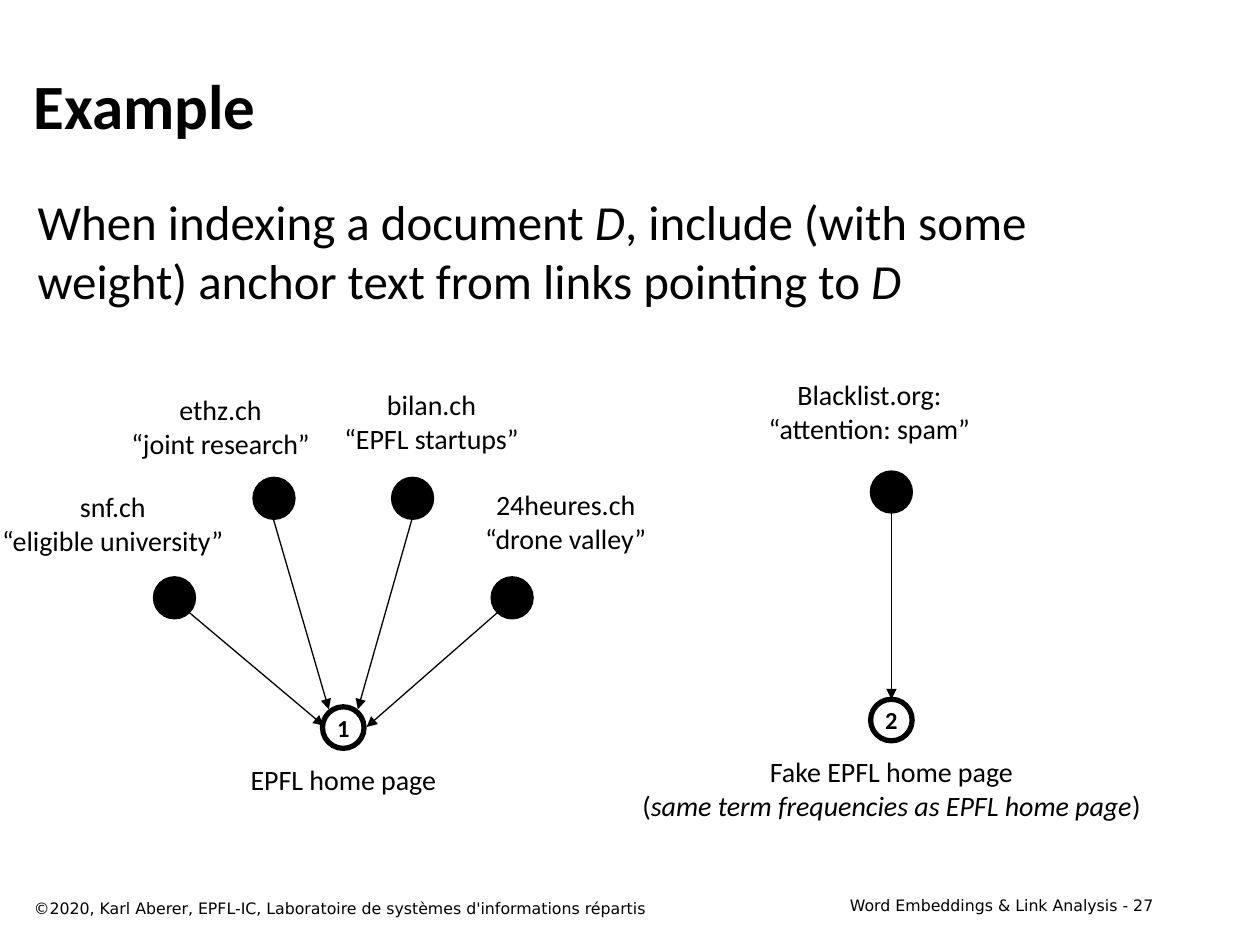
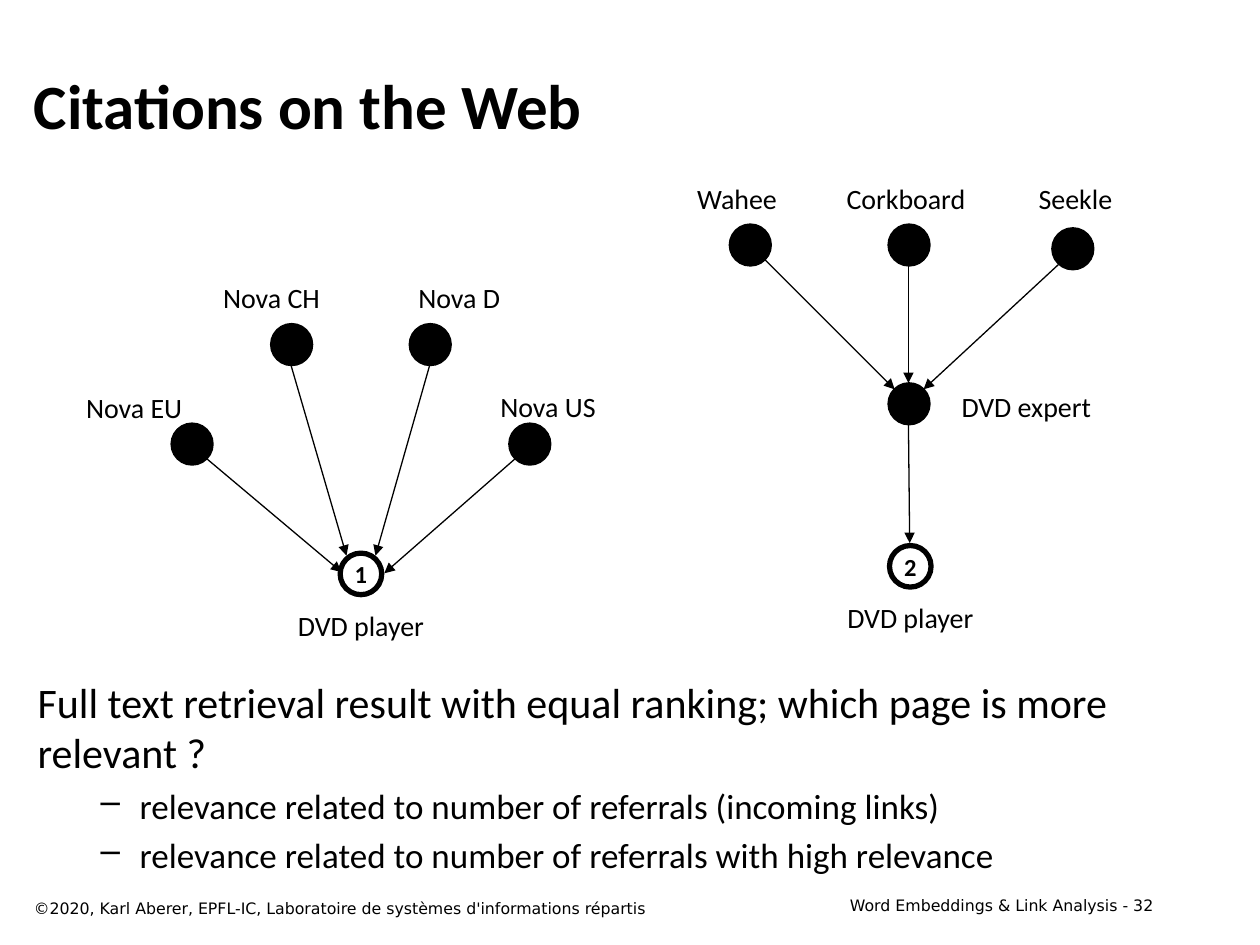
from dataclasses import dataclass

from lxml import etree
from pptx import Presentation
from pptx.dml.color import RGBColor
from pptx.enum import shapes, text
from pptx.oxml import ns
from pptx.util import Inches, Pt


@dataclass(frozen=True)
class Theme:
    ink: RGBColor = RGBColor(0, 0, 0)
    font: str = "Calibri"
    footer_font: str = "DejaVu Sans"
    title: int = 36
    lead: int = 28
    question: int = 24
    bullet: int = 20
    label: int = 16
    number: int = 14
    footer: int = 9
    arrow: float = 0.75
    dot_line: float = 1
    ring_line: float = 3


THEME = Theme()
LEFT, CENTER, RIGHT = text.PP_ALIGN.LEFT, text.PP_ALIGN.CENTER, text.PP_ALIGN.RIGHT
NODE = 0.33
CAPTION_DROP = 0.39
LINE_HEIGHT = 0.27

# Offsets inside a fan of four links: dot, arrow start, arrow end
FAN = [
    ((0, 0.79), (0.28, 1.07), (1.35, 1.97)),
    ((0.79, 0), (0.95, 0.33), (1.39, 1.84)),
    ((1.89, 0), (2.05, 0.33), (1.62, 1.84)),
    ((2.68, 0.79), (2.73, 1.07), (1.69, 1.98)),
]
FAN_TARGET = (1.34, 1.82)


def add_spans(para, spans, size, bold=False, font=THEME.font):
    """Add one run per span; every second span is italic."""
    for index, words in enumerate(spans):
        span = para.add_run()
        span.text = words
        span.font.name = font
        span.font.size = Pt(size)
        span.font.bold = bold
        span.font.italic = index % 2 == 1
        span.font.color.rgb = THEME.ink


def add_text(page, box, lines, size, align=LEFT, wrap=True, bold=False,
             font=THEME.font, anchor=text.MSO_ANCHOR.TOP):
    """Write lines, each a tuple of spans, into a box of inches."""
    frame = page.shapes.add_textbox(*map(Inches, box)).text_frame
    frame.word_wrap = wrap
    frame.vertical_anchor = anchor
    for index, spans in enumerate(lines):
        para = frame.add_paragraph() if index else frame.paragraphs[0]
        para.alignment = align
        add_spans(para, spans, size, bold, font)
    return frame


def add_label(page, left, top, width, *lines):
    """Centre lines in a box whose full width is free for text."""
    box = (left, top, width, 0.1 + LINE_HEIGHT * len(lines))
    frame = add_text(page, box, lines, THEME.label, CENTER, wrap=False)
    frame.margin_left = frame.margin_right = 0


def add_bullet(frame, words):
    para = frame.add_paragraph()
    props = para._p.get_or_add_pPr()
    props.set("marL", str(Inches(0.81)))
    props.set("indent", str(Inches(-0.31)))
    etree.SubElement(props, ns.qn("a:buChar")).set("char", "–")
    para.space_before = Pt(THEME.bullet * 0.2)
    add_spans(para, [words], THEME.bullet)


def add_circle(page, left, top, line_width):
    circle = page.shapes.add_shape(
        shapes.MSO_SHAPE.OVAL, *map(Inches, (left, top, NODE, NODE)))
    circle.shadow.inherit = False
    circle.line.color.rgb = THEME.ink
    circle.line.width = Pt(line_width)
    return circle


def add_dot(page, left, top):
    dot = add_circle(page, left, top, THEME.dot_line)
    dot.fill.solid()
    dot.fill.fore_color.rgb = THEME.ink


def add_target(page, left, top, number, caption_width, *caption):
    """Draw a numbered ring with its caption centred below."""
    ring = add_circle(page, left, top, THEME.ring_line)
    ring.fill.background()
    frame = ring.text_frame
    frame.word_wrap = False
    frame.vertical_anchor = text.MSO_ANCHOR.MIDDLE
    frame.paragraphs[0].alignment = CENTER
    add_spans(frame.paragraphs[0], [number], THEME.number, bold=True)
    add_label(page, left + (NODE - caption_width) / 2, top + CAPTION_DROP,
              caption_width, *caption)


def add_arrow(page, start, end):
    arrow = page.shapes.add_connector(
        shapes.MSO_CONNECTOR.STRAIGHT, *map(Inches, (*start, *end)))
    arrow.line.color.rgb = THEME.ink
    arrow.line.width = Pt(THEME.arrow)
    tail = etree.SubElement(arrow.line._get_or_add_ln(), ns.qn("a:tailEnd"))
    tail.set("type", "triangle")
    etree.SubElement(arrow._element.spPr, ns.qn("a:effectLst"))


def add_fan(page, left, top, labels, caption_width, caption):
    """Draw four sources that link to target 1; labels are offset, width, lines."""
    def place(offset):
        return left + offset[0], top + offset[1]

    for dot, start, end in FAN:
        add_dot(page, *place(dot))
        add_arrow(page, place(start), place(end))
    for offset, width, *lines in labels:
        add_label(page, *place(offset), width, *lines)
    add_target(page, *place(FAN_TARGET), "1", caption_width, (caption,))


def add_spam_link(page, left, top):
    middle = left + NODE / 2
    add_label(page, left - 0.91, top - 0.79, 1.8,
              ("Blacklist.org:",), ("“attention: spam”",))
    add_dot(page, left, top)
    add_arrow(page, (middle, top + NODE), (middle, top + 1.81))
    add_target(page, left, top + 1.81, "2", 4.24, ("Fake EPFL home page",),
               ("(", "same term frequencies as EPFL home page", ")"))


def add_expert_tree(page, left, top):
    """Draw three portals that link to an expert page, which links to target 2."""
    portals = [
        ("Wahee", (0, 0), -0.32, 0.76, (0.28, 0.28), (1.31, 1.31)),
        ("Corkboard", (1.26, 0), 0.89, 1.02, (1.42, 0.33), (1.42, 1.26)),
        ("Seekle", (2.56, 0.03), 2.32, 0.85, (2.61, 0.32), (1.54, 1.31)),
    ]
    for name, dot, label_x, width, start, end in portals:
        add_dot(page, left + dot[0], top + dot[1])
        add_label(page, left + label_x, top - 0.39, width, (name,))
        add_arrow(page, (left + start[0], top + start[1]),
                  (left + end[0], top + end[1]))
    add_dot(page, left + 1.26, top + 1.26)
    add_label(page, left + 1.73, top + 1.26, 1.25, ("DVD expert",))
    add_arrow(page, (left + 1.42, top + 1.59), (left + 1.43, top + 2.53))
    add_target(page, left + 1.27, top + 2.55, "2", 1.22, ("DVD player",))


def add_page(deck, title, number):
    page = deck.slides.add_slide(deck.slide_layouts[6])
    add_text(page, (0.17, 0.33, 9.08, 1), [(title,)], THEME.title, bold=True,
             anchor=text.MSO_ANCHOR.MIDDLE)
    add_text(page, (6.34, 7.06, 2.91, 0.25),
             [(f"Word Embeddings & Link Analysis - {number}",)],
             THEME.footer, RIGHT, font=THEME.footer_font)
    add_text(page, (0.17, 7.08, 6.42, 0.25),
             [("©2020, Karl Aberer, EPFL-IC, Laboratoire de systèmes "
               "d'informations répartis",)],
             THEME.footer, font=THEME.footer_font)
    return page


def add_example_page(deck):
    page = add_page(deck, "Example", 27)
    add_text(page, (0.2, 1.47, 9.08, 5.5),
             [("When indexing a document ", "D",
               ", include (with some weight) anchor text from links pointing to ",
               "D")], THEME.lead)
    add_fan(page, 1.22, 3.79, [
        ((-1.3, 0.05), 1.95, ("snf.ch",), ("“eligible university”",)),
        ((-0.28, -0.72), 1.62, ("ethz.ch",), ("“joint research”",)),
        ((1.42, -0.76), 1.57, ("bilan.ch",), ("“EPFL startups”",)),
        ((2.53, 0.03), 1.48, ("24heures.ch",), ("“drone valley”",)),
    ], 1.75, "EPFL home page")
    add_spam_link(page, 6.91, 3.74)


def add_citations_page(deck):
    page = add_page(deck, "Citations on the Web", 32)
    frame = add_text(page, (0.2, 5.32, 9.29, 1.41),
                     [("Full text retrieval result with equal ranking; "
                       "which page is more relevant ?",)], THEME.question)
    add_bullet(frame, "relevance related to number of referrals (incoming links)")
    add_bullet(frame, "relevance related to number of referrals with high relevance")
    add_fan(page, 1.36, 2.57, [
        ((-0.77, 0.48), 0.95, ("Nova EU",)),
        ((0.32, -0.39), 0.95, ("Nova CH",)),
        ((1.87, -0.39), 0.83, ("Nova D",)),
        ((2.52, 0.47), 0.94, ("Nova US",)),
    ], 1.22, "DVD player")
    add_expert_tree(page, 5.79, 1.78)


def main():
    deck = Presentation()
    deck.slide_width, deck.slide_height = Inches(10), Inches(7.5)
    add_example_page(deck)
    add_citations_page(deck)
    deck.save("out.pptx")


if __name__ == "__main__":
    main()
